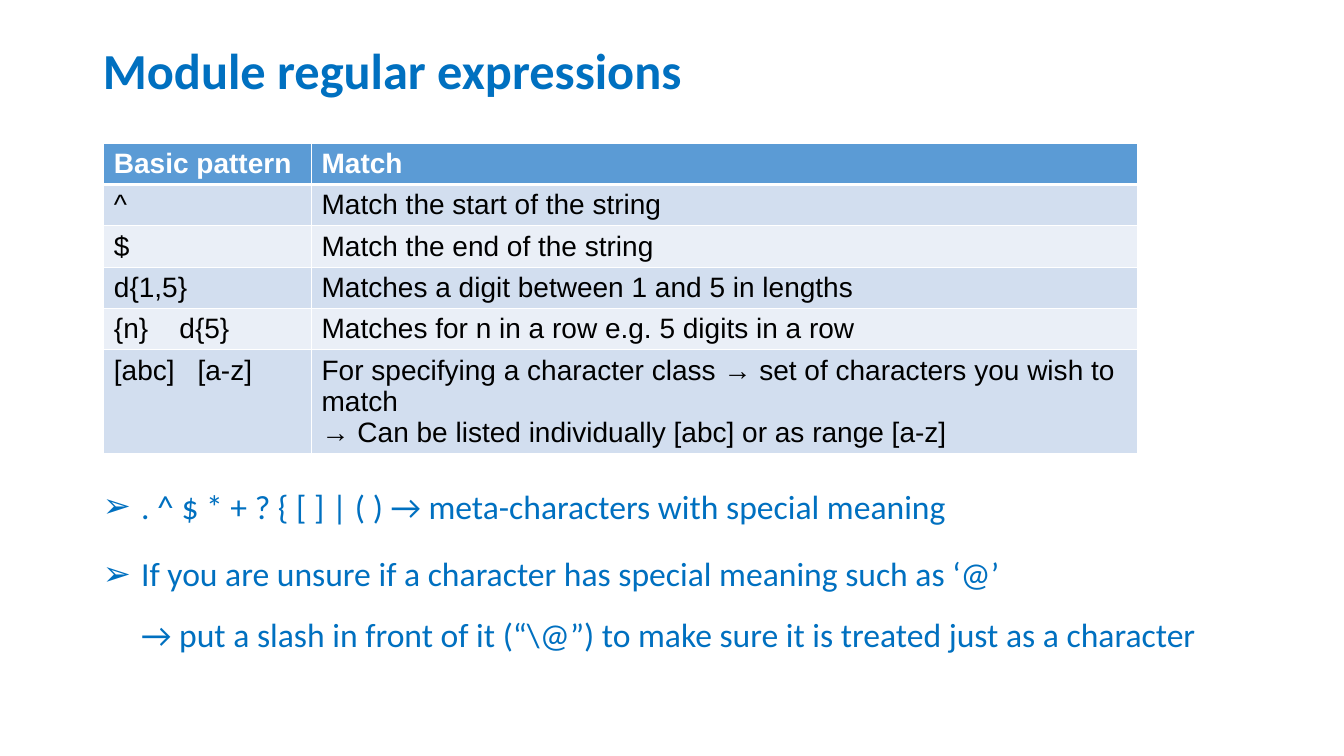
from copy import deepcopy
from dataclasses import dataclass

from lxml.etree import SubElement
from pptx import Presentation
from pptx.dml.color import RGBColor
from pptx.enum.text import MSO_ANCHOR, MSO_AUTO_SIZE, PP_ALIGN
from pptx.oxml.ns import qn
from pptx.util import Inches, Pt


@dataclass(frozen=True)
class Theme:
    """Colours, fonts and type sizes of the slide."""
    accent: str = "0070C0"
    header: str = "5B9BD5"
    bands: tuple = ("D2DEEF", "EAEFF7")
    white: str = "FFFFFF"
    black: str = "000000"
    heading_font: str = "Calibri"
    table_font: str = "Arial"
    title_size: int = 36
    body_size: int = 24
    table_size: int = 20


THEME = Theme()
PATTERNS = [
    ("Basic pattern", "Match"),
    ("^", "Match the start of the string"),
    ("$", "Match the end of the string"),
    ("d{1,5}", "Matches a digit between 1 and 5 in lengths"),
    ("{n}\td{5}", "Matches for n in a row e.g. 5 digits in a row"),
    ("[abc]\t[a-z]",
     "For specifying a character class → set of characters you wish to match\n"
     "→ Can be listed individually [abc] or as range [a-z]"),
]
TAB_STOPS = {4: 0.65, 5: 0.83}
NOTES = [
    ". ^ $ * + ? { [ ] | ( ) → meta-characters with special meaning",
    "If you are unsure if a character has special meaning such as ‘@’\v"
    "→ put a slash in front of it (“\\@”) to make sure it is treated just as a character",
]


def write_text(paragraph, text, *, font, size, color, bold=False, line_spacing=1.0,
               space_before=0, bullet=None, indent=0, tab_stop=None):
    """Fill a paragraph with text in the given format."""
    paragraph.text = text
    properties = paragraph._p.get_or_add_pPr()
    if bullet:
        properties.set("marL", str(Inches(indent)))
        properties.set("indent", str(-Inches(indent)))
        SubElement(properties, qn("a:buChar"), char=bullet)
    if tab_stop:
        tabs = SubElement(properties, qn("a:tabLst"))
        SubElement(tabs, qn("a:tab"), pos=str(Inches(tab_stop)), algn="l")
    paragraph.alignment = PP_ALIGN.LEFT
    paragraph.line_spacing = line_spacing
    paragraph.space_before = Pt(space_before)
    for run in paragraph.runs:
        run.font.name = font
        run.font.size = Pt(size)
        run.font.bold = bold
        run.font.color.rgb = RGBColor.from_string(color)
    for line_break in paragraph._p.findall(qn("a:br")):
        line_break.append(deepcopy(paragraph.runs[0]._r.rPr))


def place(shape, box):
    """Move a shape to a box given in inches."""
    shape.left, shape.top, shape.width, shape.height = map(Inches, box)


def add_title(slide, box, text):
    """Write the slide title in its placeholder."""
    title = slide.shapes.title
    place(title, box)
    title.text_frame.vertical_anchor = MSO_ANCHOR.MIDDLE
    title.text_frame.auto_size = MSO_AUTO_SIZE.NONE
    write_text(title.text_frame.paragraphs[0], text, font=THEME.heading_font,
               size=THEME.title_size, color=THEME.accent, bold=True, line_spacing=0.9)


def add_notes_list(slide, box, notes):
    """Write the bulleted remarks in the body placeholder."""
    body = slide.placeholders[1]
    place(body, box)
    frame = body.text_frame
    frame.auto_size = MSO_AUTO_SIZE.NONE
    for index, note in enumerate(notes):
        paragraph = frame.add_paragraph() if index else frame.paragraphs[0]
        write_text(paragraph, note, font=THEME.heading_font, size=THEME.body_size,
                   color=THEME.accent, line_spacing=1.5, bullet="➢", indent=0.38,
                   space_before=5 if index else 0)


def format_cell(cell, fill, bottom_width, top_width):
    """Give a cell its white borders and its fill."""
    properties = cell._tc.get_or_add_tcPr()
    widths = {"a:lnL": 1, "a:lnR": 1, "a:lnT": top_width, "a:lnB": bottom_width}
    for side, width in widths.items():
        line = SubElement(properties, qn(side), w=str(Pt(width)))
        SubElement(SubElement(line, qn("a:solidFill")), qn("a:srgbClr"), val=THEME.white)
    cell.fill.solid()
    cell.fill.fore_color.rgb = RGBColor.from_string(fill)


def add_pattern_table(slide, box, rows):
    """Build the table of patterns and what they match."""
    table = slide.shapes.add_table(len(rows), 2, *map(Inches, box)).table
    first_width, row_height = 2.06, 0.41
    table.columns[0].width = Inches(first_width)
    table.columns[1].width = Inches(box[2] - first_width)
    for row_index, row in enumerate(rows):
        is_header = row_index == 0
        is_last = row_index == len(rows) - 1
        height = box[3] - row_height * row_index if is_last else row_height
        table.rows[row_index].height = Inches(height)
        fill = THEME.header if is_header else THEME.bands[(row_index - 1) % 2]
        for column_index, text in enumerate(row):
            cell = table.cell(row_index, column_index)
            format_cell(cell, fill, 3 if is_header else 1, 3 if row_index == 1 else 1)
            for line_index, line in enumerate(text.split("\n")):
                frame = cell.text_frame
                paragraph = frame.add_paragraph() if line_index else frame.paragraphs[0]
                write_text(paragraph, line, font=THEME.table_font, size=THEME.table_size,
                           color=THEME.white if is_header else THEME.black, bold=is_header,
                           tab_stop=TAB_STOPS.get(row_index) if column_index == 0 else None)


def main():
    """Build and save the presentation."""
    presentation = Presentation()
    presentation.slide_width, presentation.slide_height = Inches(13.33), Inches(7.5)
    slide = presentation.slides.add_slide(presentation.slide_layouts[1])
    add_title(slide, (0.92, 0, 11.5, 1.45), "Module regular expressions")
    add_notes_list(slide, (0.92, 4.57, 11.5, 2.18), NOTES)
    add_pattern_table(slide, (1.03, 1.42, 10.25, 3.07), PATTERNS)
    presentation.save("out.pptx")


if __name__ == "__main__":
    main()
